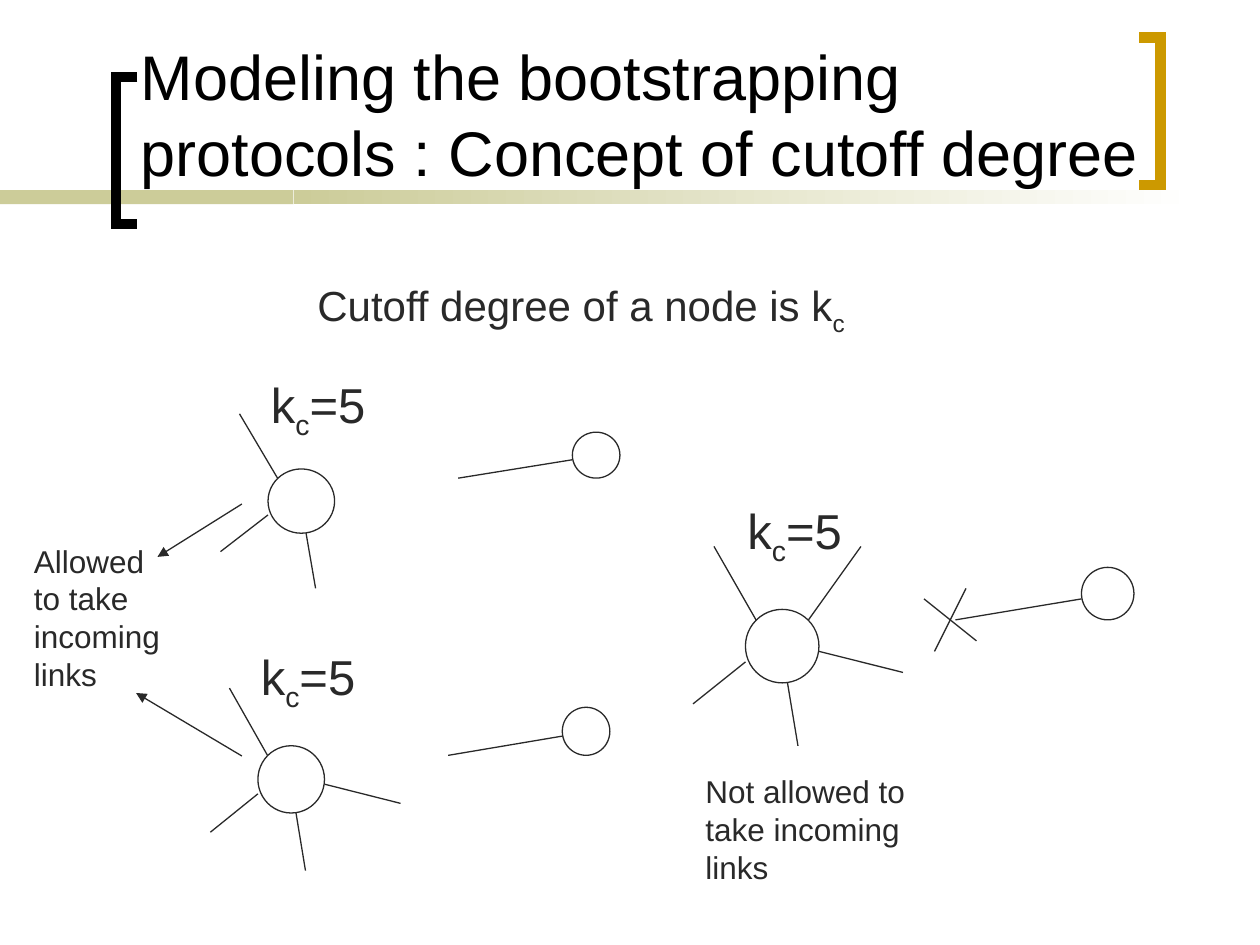
from lxml import etree
from pptx import Presentation
from pptx.dml.color import RGBColor
from pptx.enum.shapes import MSO_CONNECTOR, MSO_SHAPE
from pptx.enum.text import MSO_ANCHOR
from pptx.oxml.ns import qn
from pptx.util import Inches, Pt

STRAIGHT = MSO_CONNECTOR.STRAIGHT
OVAL, RECTANGLE = MSO_SHAPE.OVAL, MSO_SHAPE.RECTANGLE
TOP, BOTTOM = MSO_ANCHOR.TOP, MSO_ANCHOR.BOTTOM
BLACK = RGBColor(0x00, 0x00, 0x00)
WHITE = RGBColor(0xFF, 0xFF, 0xFF)
INK = RGBColor(0x29, 0x29, 0x29)
KHAKI = RGBColor(0xCC, 0xCC, 0x99)
GOLD = RGBColor(0xCC, 0x99, 0x00)

GRID_COLUMNS, GRID_ROWS = 42, 24
HUB = (5, 11, 7)
NEWCOMER = (37, 7, 5)
LABEL = (4, 0, 13)
INCOMING_LINK = (37, 10, 25, 12)
UPPER_LEFT = (2, 5, 6, 12)
UPPER_RIGHT = (11, 12, 16, 5)
LOWER_LEFT = (5, 16, 0, 20)
RIGHT = (12, 15, 20, 17)
DOWN = (9, 18, 10, 24)
CROSS = [(26, 9, 23, 15), (22, 10, 27, 14)]


def add_text(shapes, box, pieces, size, color=INK, anchor=TOP):
    """Place one paragraph of (text, is_subscript) pieces in a wrapping box."""
    frame = shapes.add_textbox(*map(Inches, box)).text_frame
    frame.word_wrap = True
    frame.vertical_anchor = anchor
    para = frame.paragraphs[0]
    for text, is_subscript in pieces:
        span = para.add_run()
        span.text = text
        span.font.name = "Arial"
        span.font.size = Pt(size)
        span.font.color.rgb = color
        if is_subscript:
            span.font._element.set("baseline", "-25000")


def add_line(shapes, ends, arrow=False):
    """Draw a thin line between two points, with an arrowhead if asked."""
    line = shapes.add_connector(STRAIGHT, *map(Inches, ends))
    line.line.color.rgb = INK
    line.line.width = Pt(0.75)
    etree.SubElement(line._element.spPr, qn("a:effectLst"))
    if arrow:
        outline = line.line._get_or_add_ln()
        etree.SubElement(outline, qn("a:tailEnd"), type="triangle")


def add_node(shapes, box):
    """Draw a white circle for a network node."""
    node = shapes.add_shape(OVAL, *map(Inches, box))
    node.shadow.inherit = False
    node.fill.solid()
    node.fill.fore_color.rgb = WHITE
    node.line.color.rgb = INK
    node.line.width = Pt(0.75)


def add_band(page, box, end_color):
    """Draw a band that fades from khaki to the end colour."""
    band = page.shapes.add_shape(RECTANGLE, *map(Inches, box))
    band.shadow.inherit = False
    band.line.fill.background()
    if end_color == KHAKI:
        band.fill.solid()
        band.fill.fore_color.rgb = KHAKI
        return
    band.fill.gradient()
    band.fill.gradient_angle = 0
    for stop, color in zip(band.fill.gradient_stops, (KHAKI, end_color)):
        stop.color.rgb = color


def add_bracket(page, box, color, opens_right):
    """Draw a square bracket that fills the box."""
    left, top, width, height = box
    right, bottom = left + width, top + height
    tip, spine = (right, left) if opens_right else (left, right)
    corners = [(tip, top), (spine, top), (spine, bottom), (tip, bottom)]
    start, *others = [(Inches(x), Inches(y)) for x, y in corners]
    builder = page.shapes.build_freeform(*start)
    builder.add_line_segments(others, close=False)
    bracket = builder.convert_to_shape()
    bracket.shadow.inherit = False
    bracket.fill.background()
    bracket.line.color.rgb = color
    bracket.line.width = Pt(6)
    outline = bracket.line._get_or_add_ln()
    etree.SubElement(outline, qn("a:miter"), lim="800000")


def add_header(page, box):
    """Place the bands, brackets and title in the header box."""
    left, top, width, height = box
    fade = left + 2.33
    band_top = top + height - 0.11
    add_band(page, (left, band_top, 2.33, 0.11), KHAKI)
    add_band(page, (fade, band_top, width - 2.83, 0.11), WHITE)
    add_bracket(page, (left + 0.92, top + 0.61, 0.17, 1.17), BLACK, True)
    add_bracket(page, (left + 9.04, top + 0.3, 0.17, 1.17), GOLD, False)
    title = "Modeling the bootstrapping protocols : Concept of cutoff degree"
    add_text(page.shapes, (left + 1.02, top, 8.31, 1.55), [(title, False)],
             36, BLACK, BOTTOM)


def add_cluster(page, box, links):
    """Draw a hub with its links and a newcomer, scaled to the box."""
    left, top, width, height = box
    across, down = width / GRID_COLUMNS, height / GRID_ROWS
    shapes = page.shapes.add_group_shape().shapes

    def place(column, row):
        return left + column * across, top + row * down

    for column, row, size in (NEWCOMER, HUB):
        add_node(shapes, (*place(column, row), size * across, size * down))
    for ends in [INCOMING_LINK, *links]:
        add_line(shapes, (*place(*ends[:2]), *place(*ends[2:])))
    column, row, size = LABEL
    add_text(shapes, (*place(column, row), size * across, 0.63),
             [("k", False), ("c", True), ("=5", False)], 28)


def add_notes(page, box):
    """Place the definition, the two remarks and the arrows in the body box."""
    left, top, _, _ = box
    add_text(page.shapes, (left + 2.42, top, 4.92, 0.56),
             [("Cutoff degree of a node is k", False), ("c", True)], 24)
    remarks = [
        ((left + 0.17, top + 2.08, 1.25, 1.3), "Allowed to take incoming links"),
        ((left + 5.5, top + 3.91, 1.92, 1),
         "Not allowed to take incoming links"),
    ]
    for place, text in remarks:
        add_text(page.shapes, place, [(text, False)], 18)
    for start, end in [((1.92, 3.83), (1.08, 3.33)),
                       ((1.92, 1.83), (1.25, 2.25))]:
        add_line(page.shapes, (left + start[0], top + start[1],
                               left + end[0], top + end[1]), arrow=True)


def main():
    """Build the slide and save the deck."""
    deck = Presentation()
    deck.slide_width, deck.slide_height = Inches(10), Inches(7.5)
    page = deck.slides.add_slide(deck.slide_layouts[6])
    add_header(page, (0, 0, 10, 1.62))
    base_links = [UPPER_LEFT, LOWER_LEFT, DOWN]
    add_cluster(page, (5.5, 3.92, 3.5, 2),
                [*base_links, UPPER_RIGHT, RIGHT, *CROSS])
    add_cluster(page, (1.67, 5.08, 3.17, 1.83), [*base_links, RIGHT])
    add_cluster(page, (1.75, 2.92, 3.17, 1.75), base_links)
    add_notes(page, (0, 2.17, 10, 5.33))
    deck.save("out.pptx")


if __name__ == "__main__":
    main()
